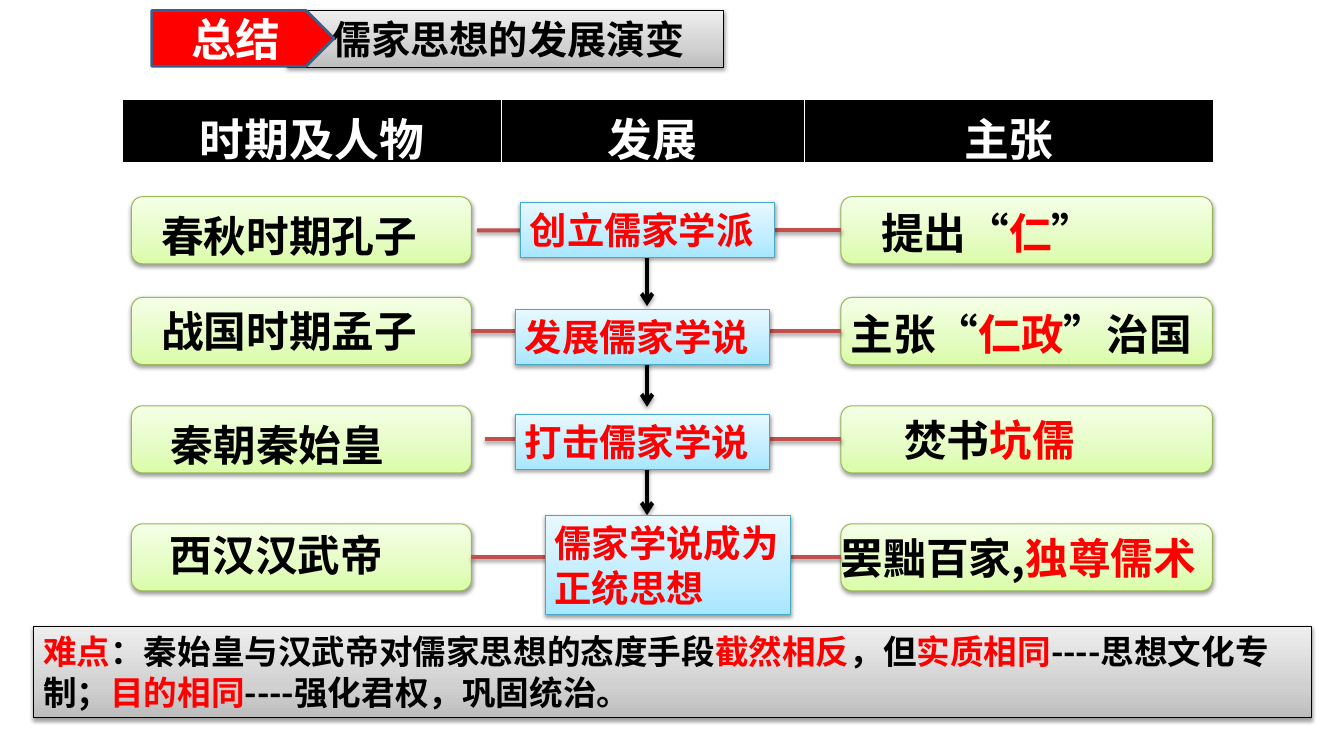
"""Build a summary slide on the development of Confucian thought."""
import lxml.etree
import pptx
import pptx.dml.color
import pptx.enum.shapes
import pptx.enum.text
import pptx.oxml
import pptx.oxml.ns
import pptx.util

Inches = pptx.util.Inches
Pt = pptx.util.Pt
RGBColor = pptx.dml.color.RGBColor
SHAPE = pptx.enum.shapes.MSO_SHAPE
ANCHOR = pptx.enum.text.MSO_ANCHOR
ALIGN = pptx.enum.text.PP_ALIGN
FIT = pptx.enum.text.MSO_AUTO_SIZE
qn = pptx.oxml.ns.qn
NS = 'xmlns:a="http://schemas.openxmlformats.org/drawingml/2006/main"'

FONT = "Noto Sans CJK SC"
BLACK = RGBColor(0x00, 0x00, 0x00)
WHITE = RGBColor(0xFF, 0xFF, 0xFF)
RED = RGBColor(0xFF, 0x00, 0x00)
NAVY = RGBColor(0x3A, 0x5F, 0x8C)
BRICK = RGBColor(0xC0, 0x50, 0x4D)
GREEN_LINE = RGBColor(0x98, 0xB9, 0x55)
BLUE_LINE = RGBColor(0x46, 0xAA, 0xC5)
GRAY = [RGBColor(0xBD, 0xBD, 0xBD), RGBColor(0xD1, 0xD1, 0xD1), RGBColor(0xEE, 0xEE, 0xEE)]
GREEN = [RGBColor(0xDA, 0xFD, 0xA7), RGBColor(0xE4, 0xFC, 0xC2), RGBColor(0xF5, 0xFF, 0xE7)]
BLUE = [RGBColor(0xA7, 0xE6, 0xFF), RGBColor(0xC1, 0xED, 0xFF), RGBColor(0xE7, 0xF8, 0xFF)]

LEFT_X, LEFT_W = 1.37, 3.54
RIGHT_X, RIGHT_W = 8.76, 3.87
CARD_H, ARROW_X, ARROW_LEN = 0.7, 6.74, 0.79

# Text alternates black and red at each "|"; positions are x, y, width.
ROWS = [
    {"top": 2.05, "start": 4.97, "stage": (5.42, 2.11, 2.65, 0.57, "|创立儒家学派"),
     "person": (1.58, 2.14, 3.35, "春秋时期孔子"), "claim": (9.08, 2.11, 3.06, "提出“|仁|”")},
    {"top": 3.1, "start": None, "stage": (5.37, 3.23, 2.65, 0.57, "|发展儒家学说"),
     "person": (1.58, 3.13, 3.35, "战国时期孟子"), "claim": (8.76, 3.16, 3.77, "主张“|仁政|”治国")},
    {"top": 4.23, "start": 5.05, "stage": (5.37, 4.32, 2.65, 0.57, "|打击儒家学说"),
     "person": (1.68, 4.32, 3.45, "秦朝秦始皇"), "claim": (9.32, 4.26, 2.81, "焚书|坑儒")},
    {"top": 5.46, "start": None, "stage": (5.68, 5.37, 2.56, 1.04, "|儒家学说成为正统思想"),
     "person": (1.67, 5.46, 2.81, "西汉汉武帝"), "claim": (8.66, 5.49, 4.5, "罢黜百家,|独尊儒术")},
]
HEADERS = {"时期及人物": 3.94, "发展": 3.16, "主张": 4.26}
BORDERS = {"lnL": 1, "lnR": 1, "lnT": 1, "lnB": 3}
CONCLUSION = ("|难点|：秦始皇与汉武帝对儒家思想的态度手段|截然相反|，但|实质相同|"
              "----思想文化专制；|目的相同|----强化君权，巩固统治。")


def apply(obj, values):
    """Set each attribute named in a dict."""
    for name, value in values.items():
        setattr(obj, name, value)


def write(tf, text, size, colors=(BLACK, RED), align=ALIGN.LEFT, **frame):
    """Write one bold paragraph whose parts alternate between two colours."""
    apply(tf, {"word_wrap": True, "vertical_anchor": ANCHOR.TOP, **frame})
    p = tf.paragraphs[0]
    p.alignment = align
    for i, part in enumerate(text.split("|")):
        if part:
            r = p.add_run()
            r.text = part
            apply(r.font, {"name": FONT, "size": Pt(size), "bold": True})
            r.font.color.rgb = colors[i % 2]
            lxml.etree.SubElement(r.font._element, qn("a:ea"), typeface=FONT)


def add_shadow(sp, distance, alpha):
    """Append a soft downward shadow."""
    sp._element.spPr.append(pptx.oxml.parse_xml(
        f'<a:effectLst {NS}><a:outerShdw blurRad="40000" dist="{distance}" dir="5400000" '
        f'rotWithShape="0"><a:srgbClr val="{BLACK}"><a:alpha val="{alpha}"/></a:srgbClr>'
        '</a:outerShdw></a:effectLst>'))


def add_panel(s, kind, box, colors, line):
    """Add a shape with a vertical three-stop gradient and a shadow."""
    sp = s.shapes.add_shape(kind, *map(Inches, box))
    stops = "".join(f'<a:gs pos="{pos}"><a:srgbClr val="{color}"/></a:gs>'
                    for pos, color in zip((0, 35000, 100000), colors))
    sp._element.spPr.append(pptx.oxml.parse_xml(
        f'<a:gradFill {NS} rotWithShape="1"><a:gsLst>{stops}</a:gsLst>'
        '<a:lin ang="16200000" scaled="0"/></a:gradFill>'))
    sp.line.color.rgb = line
    sp.line.width = Pt(0.75)
    add_shadow(sp, 20000, 38000)
    return sp


def add_line(s, x1, y1, x2, y2, color, arrow=False):
    """Add a straight shadowed line, optionally with an arrowhead."""
    c = s.shapes.add_connector(pptx.enum.shapes.MSO_CONNECTOR.STRAIGHT,
                               *map(Inches, (x1, y1, x2, y2)))
    c.line.color.rgb = color
    c.line.width = Pt(3)
    if arrow:
        lxml.etree.SubElement(c.line._get_or_add_ln(), qn("a:tailEnd"), type="arrow")
    add_shadow(c, 23000, 35000)
    return c


def add_label(s, x, y, w, text):
    """Add a large text label."""
    tb = s.shapes.add_textbox(*map(Inches, (x, y, w, 0.64)))
    write(tb.text_frame, text, 32, auto_size=FIT.SHAPE_TO_FIT_TEXT)


def add_title(s):
    """Add the title bar and its red tag."""
    bar = add_panel(s, SHAPE.RECTANGLE, (2.99, 0.11, 4.55, 0.59), GRAY, BLACK)
    write(bar.text_frame, "儒家思想的发展演变", 29.4, margin_left=Inches(0.47),
          auto_size=FIT.SHAPE_TO_FIT_TEXT)
    tag = s.shapes.add_shape(SHAPE.PENTAGON, *map(Inches, (1.58, 0.11, 1.9, 0.58)))
    tag.shadow.inherit = False
    tag.fill.solid()
    tag.fill.fore_color.rgb = RED
    tag.line.color.rgb = NAVY
    tag.line.width = Pt(2)
    write(tag.text_frame, "总结", 33.6, (WHITE, RED), ALIGN.CENTER,
          vertical_anchor=ANCHOR.MIDDLE)


def add_header(s):
    """Add the black header table with white cell borders."""
    box = map(Inches, (1.28, 1.04, sum(HEADERS.values()), 0.67))
    table = s.shapes.add_table(1, len(HEADERS), *box).table
    for i, (text, width) in enumerate(HEADERS.items()):
        table.columns[i].width = Inches(width)
        cell = table.cell(0, i)
        apply(cell, {"margin_left": Inches(0.11), "margin_right": Inches(0.11),
                     "margin_top": Inches(0.05), "margin_bottom": Inches(0.05)})
        write(cell.text_frame, text, 33.6, (WHITE, RED), ALIGN.CENTER)
        tc_pr = cell._tc.get_or_add_tcPr()
        for side, width in BORDERS.items():
            tc_pr.append(pptx.oxml.parse_xml(
                f'<a:{side} {NS} w="{Pt(width)}"><a:solidFill><a:srgbClr val="{WHITE}"/>'
                f'</a:solidFill></a:{side}>'))
        cell.fill.solid()
        cell.fill.fore_color.rgb = BLACK


def add_row_frame(s, row, has_next):
    """Add the two cards of a row, the line between them and the arrow down."""
    top, middle = row["top"], row["top"] + CARD_H / 2
    left, right = [add_panel(s, SHAPE.ROUNDED_RECTANGLE, (x, top, w, CARD_H), GREEN, GREEN_LINE)
                   for x, w in ((LEFT_X, LEFT_W), (RIGHT_X, RIGHT_W))]
    c = add_line(s, row["start"] or LEFT_X + LEFT_W, middle, RIGHT_X, middle, BRICK)
    if row["start"] is None:
        c.begin_connect(left, 3)
    c.end_connect(right, 1)
    if has_next:
        add_line(s, ARROW_X, middle, ARROW_X, middle + ARROW_LEN, BLACK, arrow=True)


def main():
    """Build and save the slide."""
    prs = pptx.Presentation()
    prs.slide_width, prs.slide_height = Inches(14), Inches(7.88)
    s = prs.slides.add_slide(prs.slide_layouts[6])
    add_title(s)
    add_header(s)
    for row in ROWS:
        add_row_frame(s, row, row is not ROWS[-1])
    for row in ROWS:
        *box, text = row["stage"]
        sp = add_panel(s, SHAPE.RECTANGLE, box, BLUE, BLUE_LINE)
        write(sp.text_frame, text, 28, auto_size=FIT.SHAPE_TO_FIT_TEXT)
        add_label(s, *row["person"])
        add_label(s, *row["claim"])
    sp = add_panel(s, SHAPE.RECTANGLE, (0.35, 6.53, 13.31, 0.95), GRAY, BLACK)
    write(sp.text_frame, CONCLUSION, 25.2, auto_size=FIT.SHAPE_TO_FIT_TEXT)
    prs.save("out.pptx")


if __name__ == "__main__":
    main()
